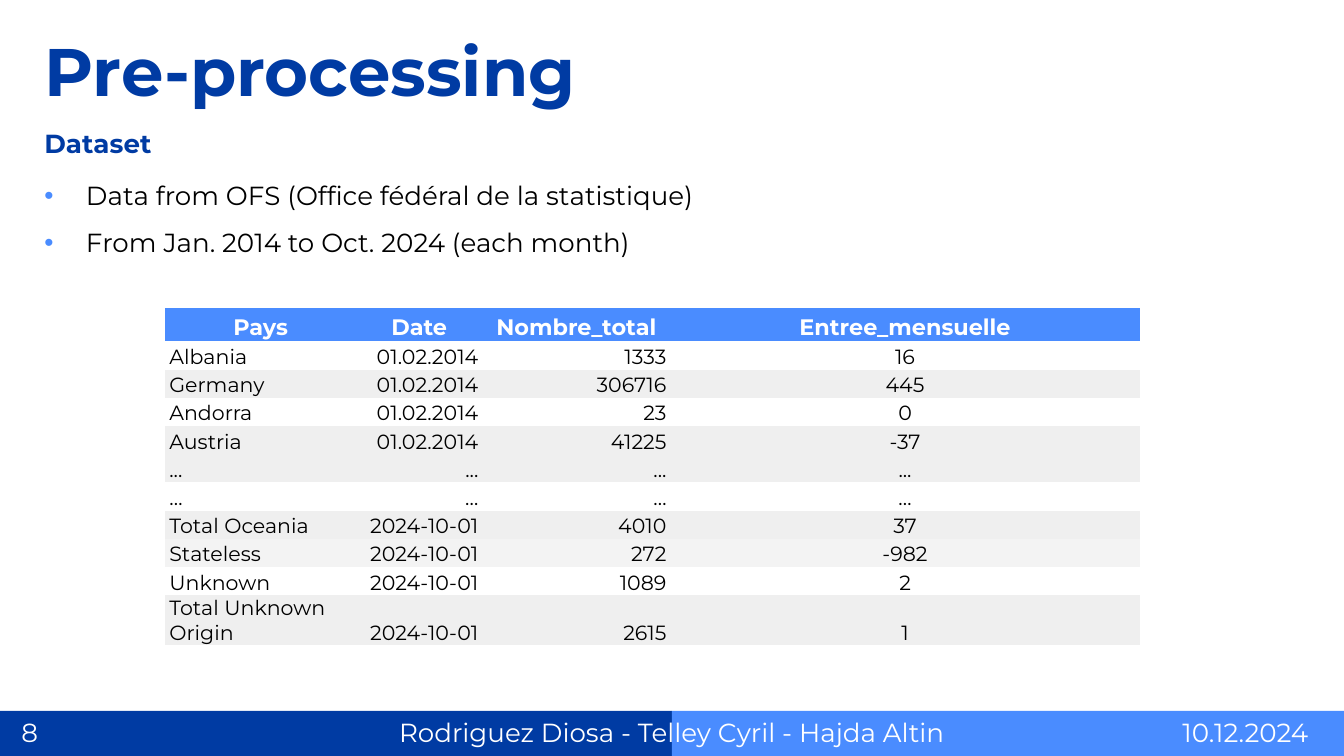
from dataclasses import dataclass

from lxml import etree
from pptx import Presentation
from pptx.dml.color import RGBColor
from pptx.enum.shapes import MSO_SHAPE
from pptx.enum.text import MSO_ANCHOR, MSO_AUTO_SIZE, PP_ALIGN
from pptx.oxml.ns import qn
from pptx.util import Inches, Pt

LEFT, CENTER, RIGHT = PP_ALIGN.LEFT, PP_ALIGN.CENTER, PP_ALIGN.RIGHT
TOP, MIDDLE, BOTTOM = MSO_ANCHOR.TOP, MSO_ANCHOR.MIDDLE, MSO_ANCHOR.BOTTOM
RECT = MSO_SHAPE.RECTANGLE
FIXED = MSO_AUTO_SIZE.NONE
PLAIN_STYLE = "{2D5ABB26-0587-4C30-8999-92F81FD0307C}"


@dataclass(frozen=True)
class Theme:
    font: str = "Montserrat"
    navy: str = "003BA3"
    blue: str = "4A8CFF"
    white: str = "FFFFFF"
    black: str = "000000"
    band: str = "EFEFEF"
    pale: str = "F3F3F3"
    title: int = 36
    body: int = 14
    head: int = 12
    cell: int = 11


@dataclass(frozen=True)
class Box:
    left: float
    top: float
    width: float
    height: float


@dataclass(frozen=True)
class Style:
    size: int
    color: str
    bold: bool = False


@dataclass(frozen=True)
class Note:
    text: str
    box: Box
    align: PP_ALIGN = LEFT


@dataclass(frozen=True)
class Column:
    name: str
    width: float
    align: PP_ALIGN


@dataclass(frozen=True)
class Row:
    cells: tuple[str, ...]
    fill: str | None = None


THEME = Theme()
WIDE = 10
HIGH = WIDE * 9 / 16
BAR_TOP, BAR_HIGH = 5.29, 0.34
NOTE_TOP, NOTE_HIGH = 5.27, 0.35
INDENT = 0.31

BARS = [(0, THEME.navy), (WIDE / 2, THEME.blue)]
NOTES = [
    Note("8", Box(0.06, NOTE_TOP, 0.41, NOTE_HIGH)),
    Note("10.12.2024", Box(8.7, NOTE_TOP, 1.24, NOTE_HIGH)),
    Note("Rodriguez Diosa - Telley Cyril - Hajda Altin",
         Box(2.69, NOTE_TOP, 4.62, NOTE_HIGH), CENTER),
]
POINTS = [
    "Data from OFS (Office fédéral de la statistique)",
    "From Jan. 2014 to Oct. 2024 (each month)",
]
COLUMNS = [
    Column("Pays", 1.42, LEFT),
    Column("Date", 0.94, RIGHT),
    Column("Nombre_total", 1.4, RIGHT),
    Column("Entree_mensuelle", 3.49, CENTER),
]
FIRST, LAST = "01.02.2014", "2024-10-01"
ROWS = [
    Row(("Albania", FIRST, "1333", "16")),
    Row(("Germany", FIRST, "306716", "445"), THEME.band),
    Row(("Andorra", FIRST, "23", "0")),
    Row(("Austria", FIRST, "41225", "-37"), THEME.band),
    Row(("...",) * len(COLUMNS), THEME.band),
    Row(("…",) * len(COLUMNS)),
    Row(("Total Oceania", LAST, "4010", "37"), THEME.band),
    Row(("Stateless", LAST, "272", "-982"), THEME.pale),
    Row(("Unknown", LAST, "1089", "2")),
    Row(("Total Unknown Origin", LAST, "2615", "1"), THEME.band),
]


def place(shape, box: Box) -> None:
    shape.left, shape.top = Inches(box.left), Inches(box.top)
    shape.width, shape.height = Inches(box.width), Inches(box.height)


def set_frame(frame, anchor: MSO_ANCHOR) -> None:
    frame.word_wrap = True
    frame.auto_size = FIXED
    frame.vertical_anchor = anchor
    frame.margin_left = frame.margin_right = Inches(0.1)
    frame.margin_top = frame.margin_bottom = Inches(0.1)


def write(para, text: str, style: Style, align: PP_ALIGN = LEFT) -> None:
    para.alignment = align
    para.space_before = Pt(0)
    run = para.add_run()
    run.text = text
    font = run.font
    font.name, font.size, font.bold = THEME.font, Pt(style.size), style.bold
    font.color.rgb = RGBColor.from_string(style.color)


def set_bullet(para, mark: str | None) -> None:
    """Give the paragraph a coloured, hanging mark, or none at all."""
    props = para._p.get_or_add_pPr()
    indent = Inches(INDENT) if mark else 0
    props.set("marL", str(indent))
    props.set("indent", str(-indent))
    if not mark:
        etree.SubElement(props, qn("a:buNone"))
        return
    tint = etree.SubElement(props, qn("a:buClr"))
    etree.SubElement(tint, qn("a:srgbClr"), val=THEME.blue)
    etree.SubElement(props, qn("a:buChar"), char=mark)


def add_bar(slide, left: float, color: str) -> None:
    bar = slide.shapes.add_shape(RECT, Inches(left), Inches(BAR_TOP),
                                 Inches(WIDE / 2), Inches(BAR_HIGH))
    bar.shadow.inherit = False
    bar.fill.solid()
    bar.fill.fore_color.rgb = RGBColor.from_string(color)
    bar.line.fill.background()


def add_note(slide, note: Note) -> None:
    shape = slide.shapes.add_textbox(0, 0, 0, 0)
    place(shape, note.box)
    set_frame(shape.text_frame, MIDDLE)
    write(shape.text_frame.paragraphs[0], note.text,
          Style(THEME.body, THEME.white), note.align)


def fill_text(slide) -> None:
    title, topic, points = slide.placeholders
    place(title, Box(0.23, 0.19, 6.94, 0.66))
    set_frame(title.text_frame, MIDDLE)
    write(title.text_frame.paragraphs[0], "Pre-processing",
          Style(THEME.title, THEME.navy, True))

    place(topic, Box(0.23, 0.85, 6.13, 0.46))
    set_frame(topic.text_frame, TOP)
    para = topic.text_frame.paragraphs[0]
    write(para, "Dataset", Style(THEME.body, THEME.navy, True))
    set_bullet(para, None)

    place(points, Box(0.23, 0.85, 8.25, 1.44))
    frame = points.text_frame
    set_frame(frame, MIDDLE)
    for i, text in enumerate(POINTS):
        para = frame.add_paragraph() if i else frame.paragraphs[0]
        write(para, text, Style(THEME.body, THEME.black))
        para.line_spacing = 1.5
        set_bullet(para, "•")


def fill_cell(cell, text: str, style: Style, align: PP_ALIGN,
              fill: str | None) -> None:
    cell.margin_left = cell.margin_right = Inches(0.03)
    cell.margin_top = cell.margin_bottom = 0
    cell.vertical_anchor = BOTTOM
    if fill:
        cell.fill.solid()
        cell.fill.fore_color.rgb = RGBColor.from_string(fill)
    else:
        cell.fill.background()
    write(cell.text_frame.paragraphs[0], text, style, align)


def add_grid(slide) -> None:
    heights = [0.25] + [0.21] * len(ROWS)
    width = sum(col.width for col in COLUMNS)
    grid = slide.shapes.add_table(
        len(heights), len(COLUMNS), Inches(1.23), Inches(2.29),
        Inches(width), Inches(sum(heights))).table
    grid._tbl.tblPr.find(qn("a:tableStyleId")).text = PLAIN_STYLE
    for row, high in zip(grid.rows, heights):
        row.height = Inches(high)
    head = Style(THEME.head, THEME.white, True)
    body = Style(THEME.cell, THEME.black)
    for c, col in enumerate(COLUMNS):
        grid.columns[c].width = Inches(col.width)
        fill_cell(grid.cell(0, c), col.name, head, CENTER, THEME.blue)
        for r, row in enumerate(ROWS, 1):
            fill_cell(grid.cell(r, c), row.cells[c], body, col.align, row.fill)


def main() -> None:
    deck = Presentation()
    deck.slide_width, deck.slide_height = Inches(WIDE), Inches(HIGH)
    slide = deck.slides.add_slide(deck.slide_layouts.get_by_name("Two Content"))
    for left, color in BARS:
        add_bar(slide, left, color)
    for note in NOTES:
        add_note(slide, note)
    fill_text(slide)
    add_grid(slide)
    deck.save("out.pptx")


if __name__ == "__main__":
    main()
